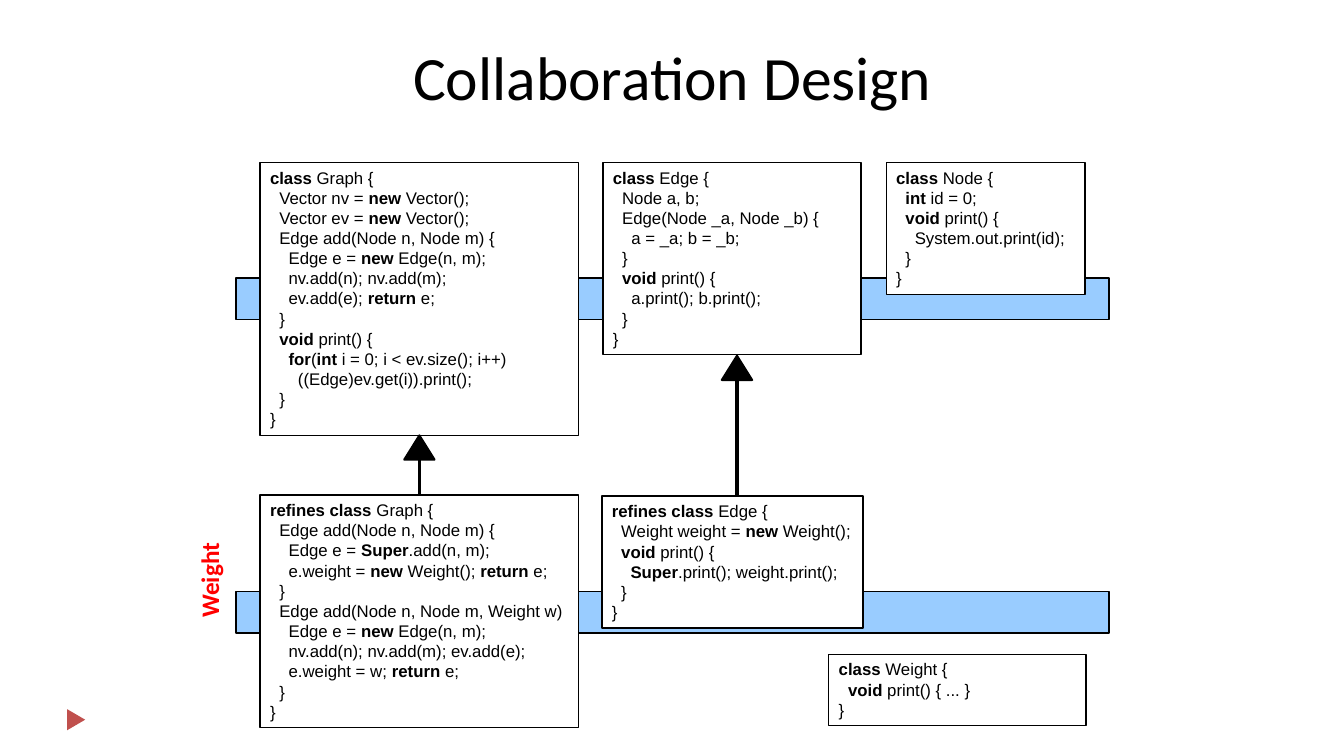
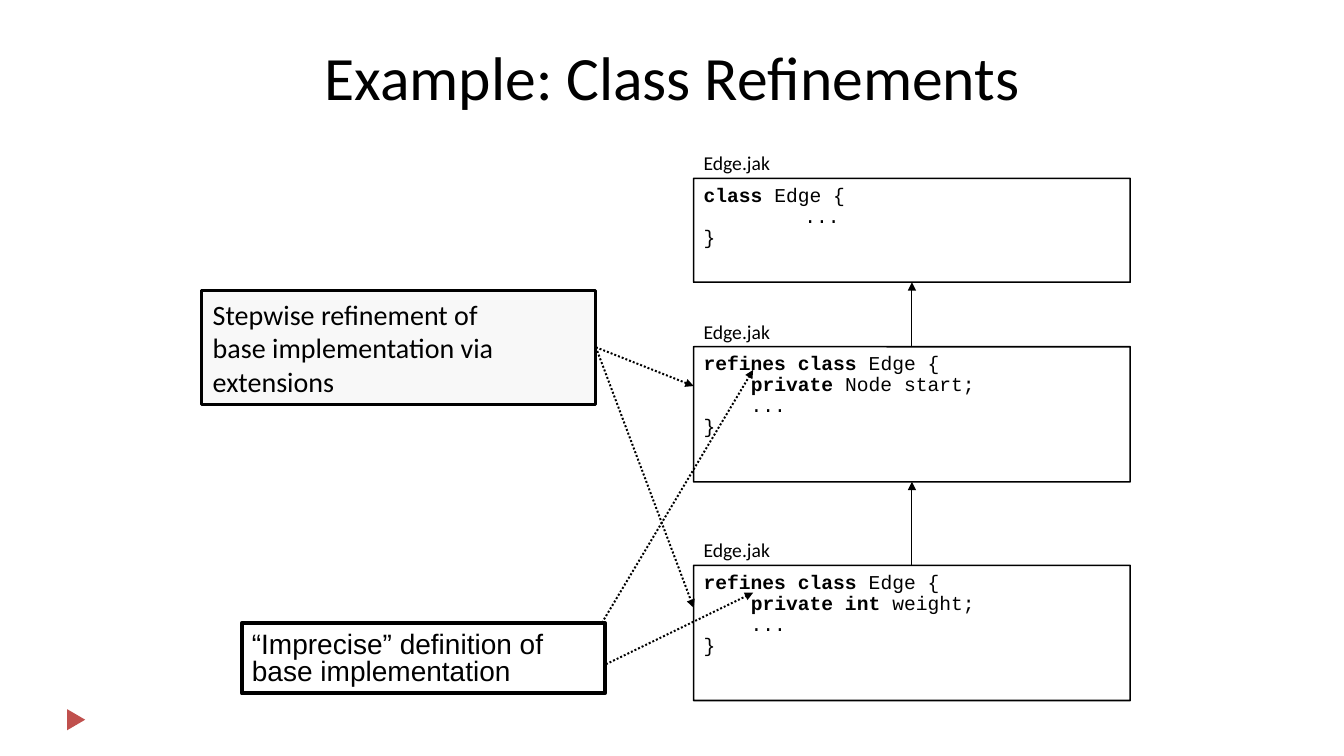
from lxml import etree
from pptx import Presentation
from pptx.dml.color import RGBColor
from pptx.enum.dml import MSO_LINE
from pptx.enum.shapes import MSO_CONNECTOR, MSO_SHAPE
from pptx.enum.text import MSO_ANCHOR, PP_ALIGN
from pptx.oxml.ns import qn
from pptx.util import Pt

PX = 9144  # 100 px to the inch
SLIDE_WIDTH, SLIDE_HEIGHT = 1333, 750

BLACK = RGBColor(0x00, 0x00, 0x00)
WHITE = RGBColor(0xFF, 0xFF, 0xFF)
BAND_BLUE = RGBColor(0x99, 0xCC, 0xFF)
NOTE_GRAY = RGBColor(0xF8, 0xF8, 0xF8)
MARKER_RED = RGBColor(0xC0, 0x50, 0x4D)
LABEL_RED = RGBColor(0xFF, 0x00, 0x00)

RECTANGLE = MSO_SHAPE.RECTANGLE
ROUNDED = MSO_SHAPE.ROUNDED_RECTANGLE
TRIANGLE = MSO_SHAPE.ISOSCELES_TRIANGLE
STRAIGHT = MSO_CONNECTOR.STRAIGHT
DOTTED = MSO_LINE.ROUND_DOT
TOP_SIDE, BOTTOM_SIDE, RIGHT_SIDE = 0, 2, 3
TITLE_ONLY = 5

# In the code below, *asterisks* enclose the bold keywords.
GRAPH_CODE = """*class* Graph {
  Vector nv = *new* Vector();
  Vector ev = *new* Vector();
  Edge add(Node n, Node m) {
    Edge e = *new* Edge(n, m);
    nv.add(n); nv.add(m);
    ev.add(e); *return* e;
  }
  *void* print() {
    *for*(*int* i = 0; i < ev.size(); i++)
      ((Edge)ev.get(i)).print();
  }
}"""
NODE_CODE = """*class* Node {
  *int* id = 0;
  *void* print() {
    System.out.print(id);
  }
}"""
EDGE_CODE = """*class* Edge {
  Node a, b;
  Edge(Node _a, Node _b) {
    a = _a; b = _b;
  }
  *void* print() {
    a.print(); b.print();
  }
}"""
WEIGHT_CODE = """*class* Weight {
  *void* print() { ... }
}"""
GRAPH_REFINEMENT = """*refines class* Graph {
  Edge add(Node n, Node m) {
    Edge e = *Super*.add(n, m);
    e.weight = *new* Weight(); *return* e;
  }
  Edge add(Node n, Node m, Weight w) {
    Edge e = *new* Edge(n, m);
    nv.add(n); nv.add(m); ev.add(e);
    e.weight = w; *return* e;
  }
}""".replace("Weight w) {", "Weight w)")
EDGE_REFINEMENT = """*refines class* Edge {
  Weight weight = *new* Weight();
  *void* print() {
    *Super*.print(); weight.print();
  }
}"""
EDGE_FILES = [
    (177, 103, "*class* Edge {\n\t...\n}"),
    (344, 134, "*refines class* Edge {\n    *private* Node start;\n    ...\n}"),
    (561, 134, "*refines class* Edge {\n    *private int* weight;\n    ...\n}"),
]


def emu(*lengths):
    return [length * PX for length in lengths]


def style_font(font, name, size, color=BLACK, bold=False):
    font.name, font.size, font.bold = name, Pt(size), bold
    font.color.rgb = color


def set_margins(frame, left, top, right, bottom):
    frame.margin_left, frame.margin_top, frame.margin_right, frame.margin_bottom = emu(
        left, top, right, bottom)


def add_box(slide, box, fill, line_width=None, kind=RECTANGLE):
    shape = slide.shapes.add_shape(kind, *emu(*box))
    shape.shadow.inherit = False
    shape.fill.solid()
    shape.fill.fore_color.rgb = fill
    if line_width:
        shape.line.color.rgb = BLACK
        shape.line.width = Pt(line_width)
    else:
        shape.line.fill.background()
    if kind == ROUNDED:
        shape.adjustments[0] = 0.002
    return shape


def add_line(slide, start, end, width, dash=None, arrow=True):
    line = slide.shapes.add_connector(STRAIGHT, *emu(*start, *end))
    line.line.color.rgb = BLACK
    line.line.width = Pt(width)
    if dash:
        line.line.dash_style = dash
    if arrow:
        etree.SubElement(line.get_or_add_ln(), qn("a:tailEnd"), type="triangle")
    etree.SubElement(line.element.spPr, qn("a:effectLst"))
    return line


def add_label(slide, box, text, size, color=BLACK, bold=False):
    label = slide.shapes.add_textbox(*emu(*box))
    frame = label.text_frame
    frame.word_wrap = False
    frame.text = text
    style_font(frame.paragraphs[0].runs[0].font, "Calibri", size, color, bold)
    return label


def write_code(shape, code, font_name, size, spacing=None):
    frame = shape.text_frame
    frame.word_wrap = True
    frame.vertical_anchor = MSO_ANCHOR.TOP
    for index, code_line in enumerate(code.split("\n")):
        paragraph = frame.paragraphs[0] if index == 0 else frame.add_paragraph()
        paragraph.alignment = PP_ALIGN.LEFT
        if spacing:
            paragraph.line_spacing = spacing
        if "\t" in code_line:
            tabs = etree.SubElement(paragraph._p.get_or_add_pPr(), qn("a:tabLst"))
            etree.SubElement(tabs, qn("a:tab"), pos=str(100 * PX), algn="l")
        for part, text in enumerate(code_line.split("*")):
            if text:
                run = paragraph.add_run()
                run.text = text
                style_font(run.font, font_name, size, bold=part % 2 == 1)


def add_marker(slide):
    """Put the corner marker on the layout, so that every slide shows it."""
    marker = add_box(slide, (65, 705, 21, 18), MARKER_RED, kind=TRIANGLE)
    marker.rotation = 90
    slide.slide_layout.shapes.element.append(marker.element)


def add_titled_slide(presentation, title_text):
    slide = presentation.slides.add_slide(presentation.slide_layouts[TITLE_ONLY])
    title = slide.shapes.title
    title.left, title.top, title.width, title.height = emu(67, 25, 1200, 100)
    frame = title.text_frame
    frame.text = title_text
    frame.vertical_anchor = MSO_ANCHOR.MIDDLE
    frame.paragraphs[0].alignment = PP_ALIGN.CENTER
    style_font(frame.paragraphs[0].runs[0].font, "Calibri", 44)
    return slide


def draw_class(slide, box, code):
    shape = add_box(slide, box, WHITE, 1)
    set_margins(shape.text_frame, 10, 5, 10, 5)
    write_code(shape, code, "Arial", 12)
    return shape


def draw_inheritance(slide, x, tip, bottom):
    """A line that rises to a solid triangle; returns the line."""
    line = add_line(slide, (x, bottom), (x, tip + 20), 2.25, arrow=False)
    add_box(slide, (x - 15, tip, 30, 24), BLACK, 1.5, TRIANGLE)
    return line


def draw_file(slide, box, code):
    """A code box with its file name above."""
    left, top, _, _ = box
    shape = add_box(slide, box, WHITE, 1.13, ROUNDED)
    set_margins(shape.text_frame, 10, 7, 10, 5)
    write_code(shape, code, "Courier New", 14, 0.89)
    add_label(slide, (left, top - 32, 87, 34), "Edge.jak", 14)
    return shape


def draw_note(slide, box, text, fill, line_width, font_name, margins, spacing=None):
    note = add_box(slide, box, fill, line_width)
    frame = note.text_frame
    frame.word_wrap = True
    frame.vertical_anchor = MSO_ANCHOR.TOP
    set_margins(frame, *margins)
    paragraph = frame.paragraphs[0]
    paragraph.text = text
    paragraph.alignment = PP_ALIGN.LEFT
    if spacing:
        paragraph.line_spacing = spacing
    for run in paragraph.runs:
        style_font(run.font, font_name, 20)
    return note


def build_collaboration_slide(presentation):
    slide = add_titled_slide(presentation, "Collaboration Design")
    add_marker(slide)

    # Collaboration bands
    for top in (276, 587):
        add_box(slide, (234, top, 866, 41), BAND_BLUE, 1)

    # Classes and their refinements
    draw_class(slide, (258, 161, 316, 271), GRAPH_CODE)
    draw_class(slide, (879, 161, 197, 131), NODE_CODE)
    draw_class(slide, (598, 161, 256, 191), EDGE_CODE)
    draw_class(slide, (822, 649, 255, 71), WEIGHT_CODE)
    graph_refinement = draw_class(slide, (258, 491, 316, 231), GRAPH_REFINEMENT)
    draw_class(slide, (597, 492, 259, 131), EDGE_REFINEMENT)

    # Inheritance arrows
    draw_inheritance(slide, 731, 353, 491)
    graph_line = draw_inheritance(slide, 416, 432, 491)
    graph_line.begin_connect(graph_refinement, TOP_SIDE)

    # Name of the lower collaboration
    label = add_label(slide, (160, 555, 95, 40), "Weight", 18, LABEL_RED, True)
    label.rotation = 270


def build_refinement_slide(presentation):
    slide = add_titled_slide(presentation, "Example: Class Refinements")

    # Files, each refining the one above
    files = [draw_file(slide, (688, top, 433, height), code)
             for top, height, code in EDGE_FILES]
    for upper, lower in zip(files, files[1:]):
        arrow = add_line(slide, (905, 500), (905, 400), 0.75)
        arrow.begin_connect(lower, TOP_SIDE)
        arrow.end_connect(upper, BOTTOM_SIDE)

    # Pointers into the code, partly behind the lower note
    for start, end in (((591, 628), (747, 367)), ((601, 659), (747, 588))):
        add_line(slide, start, end, 1.42, DOTTED)

    # Notes
    stepwise_note = draw_note(
        slide, (200, 288, 391, 113),
        "Stepwise refinement of\vbase implementation via\vextensions",
        NOTE_GRAY, 2, "Calibri", (11, 7, 11, 6))
    draw_note(slide, (240, 618, 360, 70),
              "“Imprecise” definition of base implementation",
              WHITE, 2.75, "Arial", (10, 10, 10, 5), 0.81)

    # Pointers from the upper note to both refinements
    for end in ((688, 383), (688, 603)):
        pointer = add_line(slide, (591, 344), end, 1.42, DOTTED)
        pointer.begin_connect(stepwise_note, RIGHT_SIDE)


def main():
    presentation = Presentation()
    presentation.slide_width, presentation.slide_height = emu(SLIDE_WIDTH, SLIDE_HEIGHT)
    build_collaboration_slide(presentation)
    build_refinement_slide(presentation)
    presentation.save("out.pptx")


if __name__ == "__main__":
    main()
